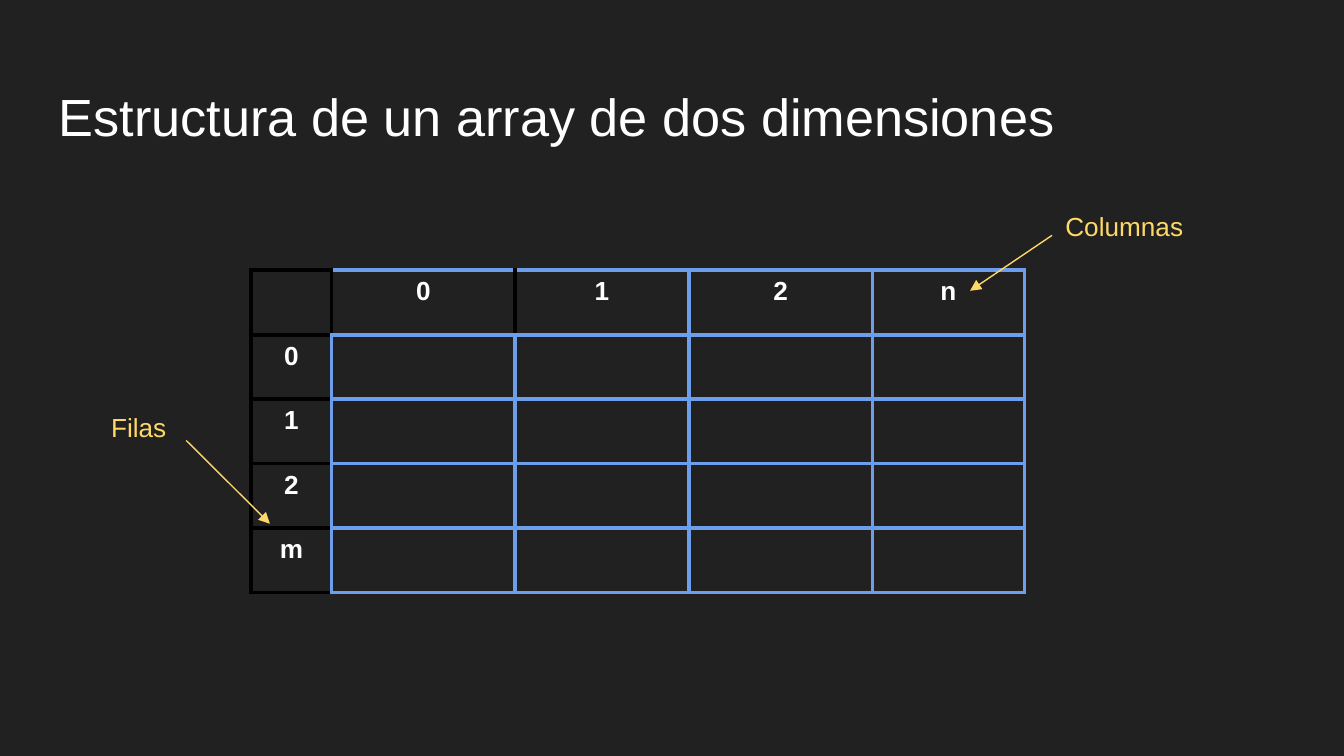
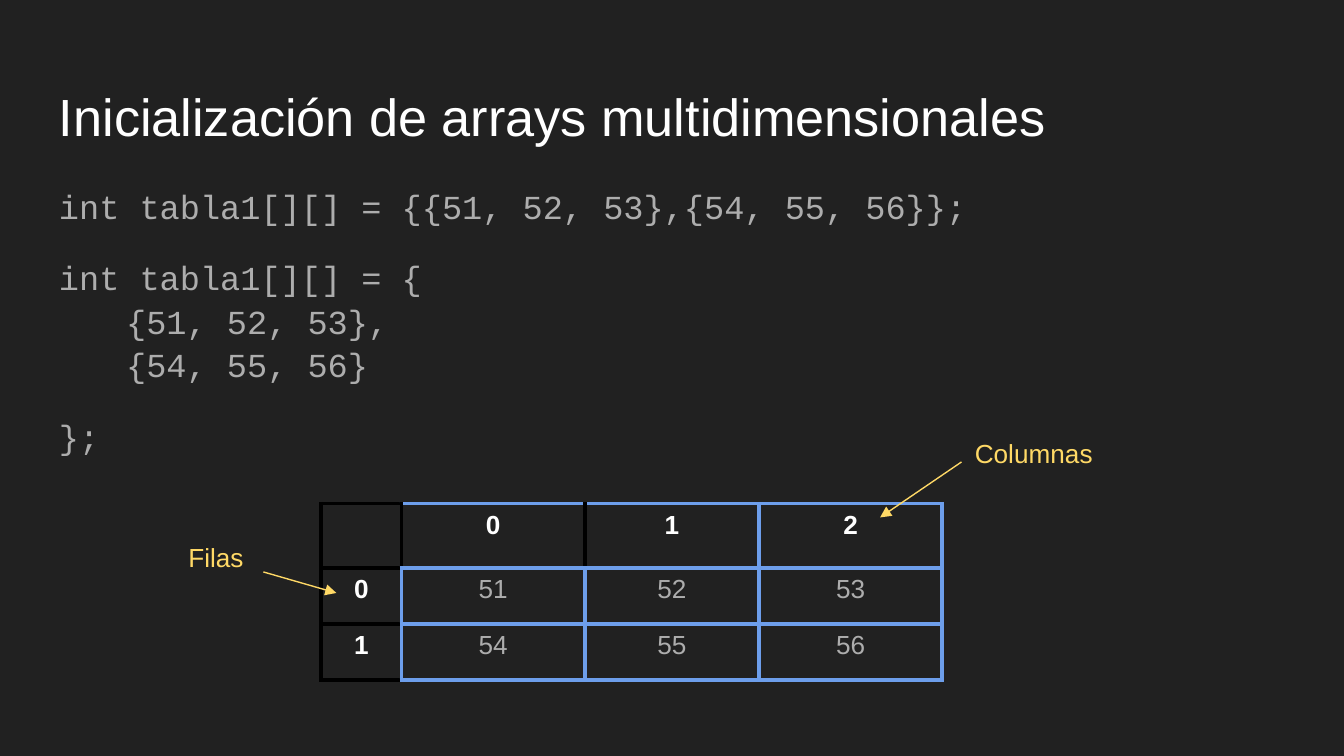
from lxml.etree import SubElement
from pptx import Presentation
from pptx.dml.color import RGBColor
from pptx.enum.shapes import MSO_CONNECTOR
from pptx.enum.text import PP_ALIGN
from pptx.oxml.ns import qn
from pptx.util import Pt

COLORS = {
    "background": "212121",
    "title": "FFFFFF",
    "body": "ADADAD",
    "label": "FFD966",
    "grid": "6D9EEB",
    "edge": "000000",
}
SANS, MONO = "Arial", "Courier New"
BORDER_WIDTH = 2.21
LINE_SPACING = 1.08
COLUMN_WIDTHS = [43.1, 98.2, 93.3, 98.2, 81.5]
HEADER_HEIGHT = 34.55
TITLE_BOX = (24.5, 35.3, 671, 45.4)
CODE_BOX = (24.5, 90.7, 671, 155.5)
LABEL_SIZES = {"Columnas": (87.8, 31), "Filas": (61.2, 31)}

# Content: tables list the header row first; labels give position and arrow ends
SLIDES = [
    {
        "title": "Estructura de un array de dos dimensiones",
        "code": [],
        "table": [
            ["", "0", "1", "2", "n"],
            ["0", "", "", "", ""],
            ["1", "", "", "", ""],
            ["2", "", "", "", ""],
            ["m", "", "", "", ""],
        ],
        "table_at": (134.6, 144.8),
        "row_height": 34.55,
        "labels": [
            ("Columnas", (563.6, 104.4), (563.6, 126.1), (519.7, 155.8)),
            ("Filas", (52.4, 211.7), (99.8, 236), (144.6, 280.6)),
        ],
    },
    {
        "title": "Inicialización de arrays multidimensionales",
        "code": [
            "int tabla1[][] = {{51, 52, 53},{54, 55, 56}};",
            "int tabla1[][] = {\v\t{51, 52, 53},\v\t{54, 55, 56}",
            "};",
        ],
        "table": [
            ["", "0", "1", "2"],
            ["0", "51", "52", "53"],
            ["1", "54", "55", "56"],
        ],
        "table_at": (172, 269.8),
        "row_height": 30,
        "labels": [
            ("Columnas", (515.1, 225.8), (515.1, 247.5), (471.5, 277.2)),
            ("Filas", (93.8, 281.7), (141.1, 306.4), (180.2, 317.7)),
        ],
    },
]


def rgb(name):
    return RGBColor.from_string(COLORS[name])


def style(paragraph, size, color, font=SANS, bold=False):
    paragraph.font.size = Pt(size)
    paragraph.font.name = font
    paragraph.font.bold = bold
    paragraph.font.color.rgb = rgb(color)


def add_text(slide, box, lines, size, color, font=SANS, gap=0):
    frame = slide.shapes.add_textbox(*map(Pt, box)).text_frame
    frame.word_wrap = True
    frame.margin_left = frame.margin_right = Pt(7.2)
    frame.margin_top = frame.margin_bottom = Pt(7.2)
    for index, line in enumerate(lines):
        paragraph = frame.add_paragraph() if index else frame.paragraphs[0]
        paragraph.text = line
        paragraph.line_spacing = LINE_SPACING
        if index:
            paragraph.space_before = Pt(gap)
        style(paragraph, size, color, font)


def add_arrow(slide, start, end):
    arrow = slide.shapes.add_connector(
        MSO_CONNECTOR.STRAIGHT, *map(Pt, start + end))
    arrow.line.color.rgb = rgb("label")
    arrow.line.width = Pt(0.75)
    SubElement(arrow.line._get_or_add_ln(), qn("a:tailEnd"), type="triangle")
    SubElement(arrow._element.spPr, qn("a:effectLst"))


def edge_sides(row, column):
    """Sides of a cell drawn in the dark edge colour."""
    if column == 0:
        return "LTB" if row else "LRTB"
    if row == 0:
        return {1: "LR", 2: "L"}.get(column, "")
    return ""


def set_borders(cell, dark_sides):
    properties = cell._tc.get_or_add_tcPr()
    for side in "LRTB":
        line = SubElement(properties, qn(f"a:ln{side}"),
                          w=str(int(Pt(BORDER_WIDTH))))
        fill = SubElement(line, qn("a:solidFill"))
        color = COLORS["edge" if side in dark_sides else "grid"]
        SubElement(fill, qn("a:srgbClr"), val=color)


def add_array_table(slide, rows, position, row_height):
    widths = COLUMN_WIDTHS[:len(rows[0])]
    heights = [HEADER_HEIGHT] + [row_height] * (len(rows) - 1)
    table = slide.shapes.add_table(
        len(rows), len(widths), *map(Pt, position),
        Pt(sum(widths)), Pt(sum(heights))).table
    table.first_row = table.horz_banding = False
    for column, width in zip(table.columns, widths):
        column.width = Pt(width)
    for table_row, height in zip(table.rows, heights):
        table_row.height = Pt(height)
    for r, values in enumerate(rows):
        for c, value in enumerate(values):
            cell = table.cell(r, c)
            set_borders(cell, edge_sides(r, c))
            cell.fill.background()
            cell.text = value
            paragraph = cell.text_frame.paragraphs[0]
            paragraph.alignment = PP_ALIGN.CENTER
            is_header = r == 0 or c == 0
            style(paragraph, 14, "title" if is_header else "body",
                  bold=is_header)


def build_slide(presentation, content):
    slide = presentation.slides.add_slide(presentation.slide_layouts[6])
    slide.background.fill.solid()
    slide.background.fill.fore_color.rgb = rgb("background")
    add_text(slide, TITLE_BOX, [content["title"]], 28, "title")
    if content["code"]:
        add_text(slide, CODE_BOX, content["code"], 18, "body", MONO, gap=15)
    add_array_table(slide, content["table"], content["table_at"],
                    content["row_height"])
    # Labels with their arrows
    for text, position, start, end in content["labels"]:
        add_text(slide, position + LABEL_SIZES[text], [text], 14, "label")
        add_arrow(slide, start, end)


def main():
    presentation = Presentation()
    presentation.slide_width = Pt(720)
    presentation.slide_height = Pt(405)
    for content in SLIDES:
        build_slide(presentation, content)
    presentation.save("out.pptx")


if __name__ == "__main__":
    main()
